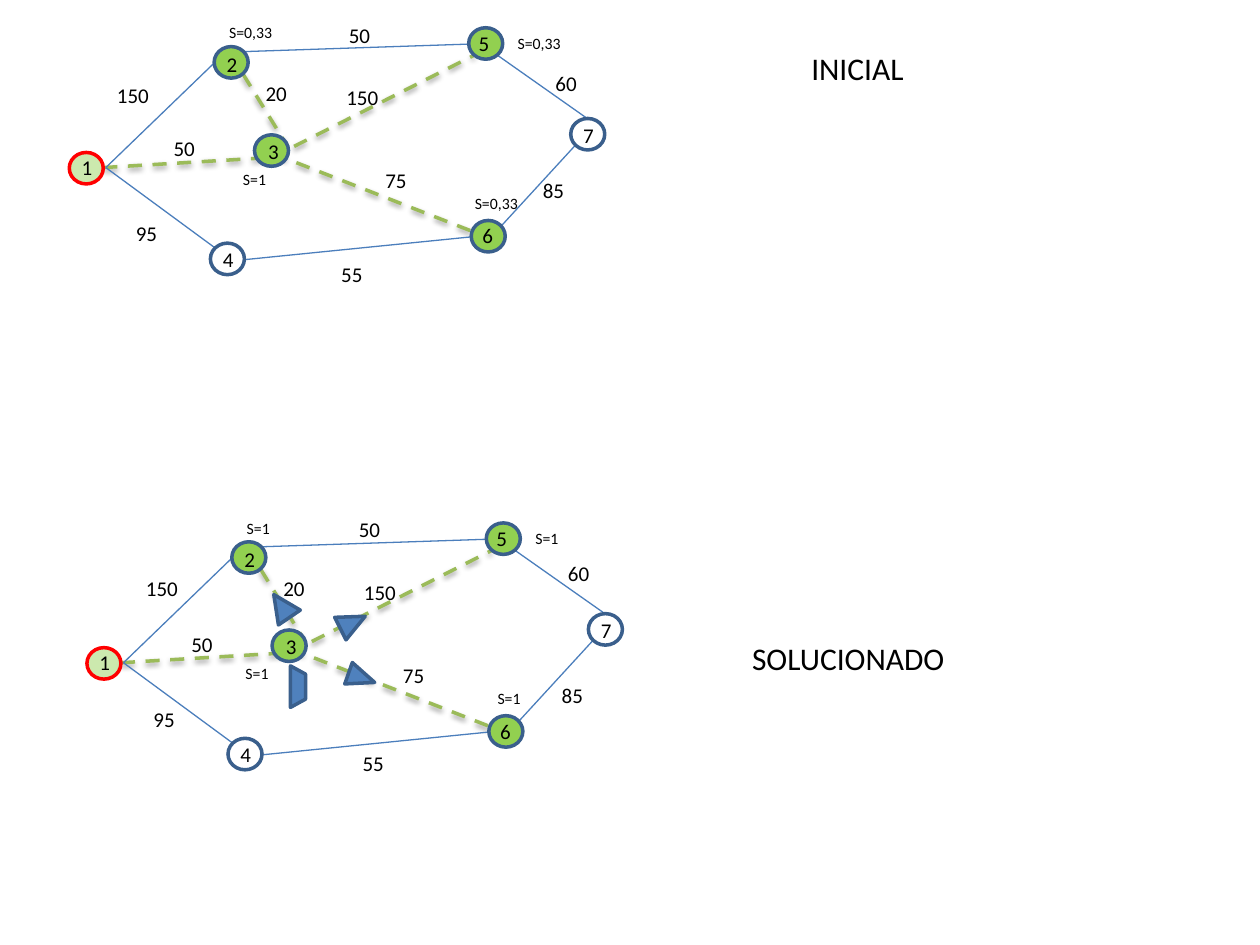
import pptx
import pptx.dml.color
import pptx.enum.dml
import pptx.enum.shapes
import pptx.enum.text
import pptx.oxml
import pptx.oxml.ns
import pptx.util

RGBColor = pptx.dml.color.RGBColor
Shape = pptx.enum.shapes.MSO_SHAPE
PX = 9144

BLACK = RGBColor(0x00, 0x00, 0x00)
RED = RGBColor(0xFF, 0x00, 0x00)
GREEN = RGBColor(0x92, 0xD0, 0x50)
OLIVE = RGBColor(0x9B, 0xBB, 0x59)
EDGE_BLUE = RGBColor(0x4B, 0x7E, 0xBC)
FILL_BLUE = RGBColor(0x4F, 0x81, 0xBD)
OUTLINE_BLUE = RGBColor(0x3A, 0x5F, 0x8C)

NAMESPACE = pptx.oxml.ns.nsdecls("a")
NO_EFFECT = f"<a:effectLst {NAMESPACE}/>"
EDGE_SHADOW = (
    f'<a:effectLst {NAMESPACE}><a:outerShdw blurRad="40000" dist="20000" dir="5400000" rotWithShape="0">'
    '<a:srgbClr val="000000"><a:alpha val="38000"/></a:srgbClr></a:outerShdw></a:effectLst>'
)

EDGES = [
    (27, 120, 160, 112, True),
    (161, 112, 321, 31, True),
    (162, 109, 331, 175, True),
    (401, 103, 334, 176, False),
    (138, 28, 317, 22, False),
    (29, 120, 115, 37, False),
    (138, 46, 170, 98, True),
    (340, 31, 411, 81, False),
    (140, 193, 319, 175, False),
    (29, 120, 116, 184, False),
]
NODES = [
    ("1", 0, 108, 0, -3, GREEN, RED, 46),
    ("2", 115, 24, 0, -1, GREEN, OUTLINE_BLUE, 100),
    ("3", 147, 94, 1, -2, GREEN, OUTLINE_BLUE, 100),
    ("4", 112, 180, 0, -2, None, OUTLINE_BLUE, 100),
    ("6", 319, 162, -1, -3, GREEN, OUTLINE_BLUE, 100),
    ("5", 317, 9, -2, -3, GREEN, OUTLINE_BLUE, 100),
    ("7", 398, 81, 0, -2, None, OUTLINE_BLUE, 100),
]
INNER_WEIGHTS = [("50", 73, 90, 43), ("150", 210, 49, 46), ("75", 241, 115, 37), ("20", 146, 46, 37)]

INITIAL_STATES = [
    ("S=0,33", 117, 0, 54),
    ("S=0,33", 346, 9, 54),
    ("S=0,33", 312, 136, 54),
    ("S=1", 128, 117, 39),
]
INITIAL_WEIGHTS = [
    ("150", 28, 48, 59),
    ("95", 43, 157, 43),
    ("55", 206, 190, 43),
    ("85", 366, 123, 43),
    ("60", 376, 38, 43),
    ("50", 212, 0, 43),
]
SOLVED_STATES = [("S=1", 117, 1, 39), ("S=1", 346, 9, 39), ("S=1", 316, 136, 39), ("S=1", 116, 116, 40)]
SOLVED_WEIGHTS = [
    ("150", 37, 46, 59),
    ("95", 43, 150, 43),
    ("55", 209, 185, 43),
    ("85", 367, 131, 43),
    ("50", 206, -1, 43),
    ("60", 372, 34, 43),
]
MARKERS = [
    (Shape.ISOSCELES_TRIANGLE, 144, 64, 21, 22, 325.8),
    (Shape.ISOSCELES_TRIANGLE, 201, 77, 20, 22, 63.5),
    (Shape.ISOSCELES_TRIANGLE, 209, 121, 18, 22, 109.4),
    (Shape.TRAPEZOID, 151, 133, 33, 12, 90),
]


def scale(*lengths):
    return [length * PX for length in lengths]


def add_text(shapes, text, left, top, width, height, size=12, wrap=True):
    box = shapes.add_textbox(*scale(left, top, width, height))
    frame = box.text_frame
    frame.word_wrap = wrap
    frame.auto_size = pptx.enum.text.MSO_AUTO_SIZE.SHAPE_TO_FIT_TEXT
    span = frame.paragraphs[0].add_run()
    span.text = text
    span.font.name = "Calibri"
    span.font.size = pptx.util.Pt(size)
    span.font.color.rgb = BLACK


def add_solid(shapes, kind, left, top, width, height, fill, outline, opacity=100):
    shape = shapes.add_shape(kind, *scale(left, top, width, height))
    shape.shadow.inherit = False
    if fill is None:
        shape.fill.background()
    else:
        shape.fill.solid()
        shape.fill.fore_color.rgb = fill
    if opacity < 100:
        color = shape.fill._xPr.find(".//" + pptx.oxml.ns.qn("a:srgbClr"))
        color.append(pptx.oxml.parse_xml(f'<a:alpha {NAMESPACE} val="{opacity * 1000}"/>'))
    shape.line.color.rgb = outline
    shape.line.width = pptx.util.Pt(2)
    return shape


def add_edge(shapes, start_x, start_y, end_x, end_y, dashed):
    edge = shapes.add_connector(
        pptx.enum.shapes.MSO_CONNECTOR.STRAIGHT, *scale(start_x, start_y, end_x, end_y)
    )
    edge.line.color.rgb = OLIVE if dashed else EDGE_BLUE
    edge.line.width = pptx.util.Pt(2 if dashed else 0.75)
    if dashed:
        edge.line.dash_style = pptx.enum.dml.MSO_LINE.DASH
    edge._element.spPr.append(pptx.oxml.parse_xml(EDGE_SHADOW if dashed else NO_EFFECT))


def add_graph(page, left, top, states, outer_weights, markers=()):
    shapes = page.shapes.add_group_shape().shapes
    for start_x, start_y, end_x, end_y, dashed in EDGES:
        add_edge(shapes, left + start_x, top + start_y, left + end_x, top + end_y, dashed)
    for name, x, y, shift_x, shift_y, fill, outline, opacity in NODES:
        add_solid(shapes, Shape.OVAL, left + x, top + y, 27, 25, fill, outline, opacity)
        add_text(shapes, name, left + x + shift_x, top + y + shift_y, 29, 30)
    for labels, height, size, wrap in (
        (INNER_WEIGHTS, 30, 12, False),
        (states, 25, 9, False),
        (outer_weights, 30, 12, True),
    ):
        for text, x, y, width in labels:
            add_text(shapes, text, left + x, top + y, width, height, size=size, wrap=wrap)
    for kind, x, y, width, height, angle in markers:
        marker = add_solid(shapes, kind, left + x, top + y, width, height, FILL_BLUE, OUTLINE_BLUE)
        marker.rotation = angle
        if kind == Shape.TRAPEZOID:
            marker.adjustments[0] = 0.55


def main():
    deck = pptx.Presentation()
    deck.slide_width, deck.slide_height = scale(1000, 750)
    page = deck.slides.add_slide(deck.slide_layouts[6])
    add_text(page.shapes, "INICIAL", 634, 34, 299, 40, size=18)
    add_text(page.shapes, "SOLUCIONADO", 587, 502, 299, 40, size=18)
    add_graph(page, 55, 13, INITIAL_STATES, INITIAL_WEIGHTS)
    add_graph(page, 69, 406, SOLVED_STATES, SOLVED_WEIGHTS, MARKERS)
    deck.save("out.pptx")


if __name__ == "__main__":
    main()
